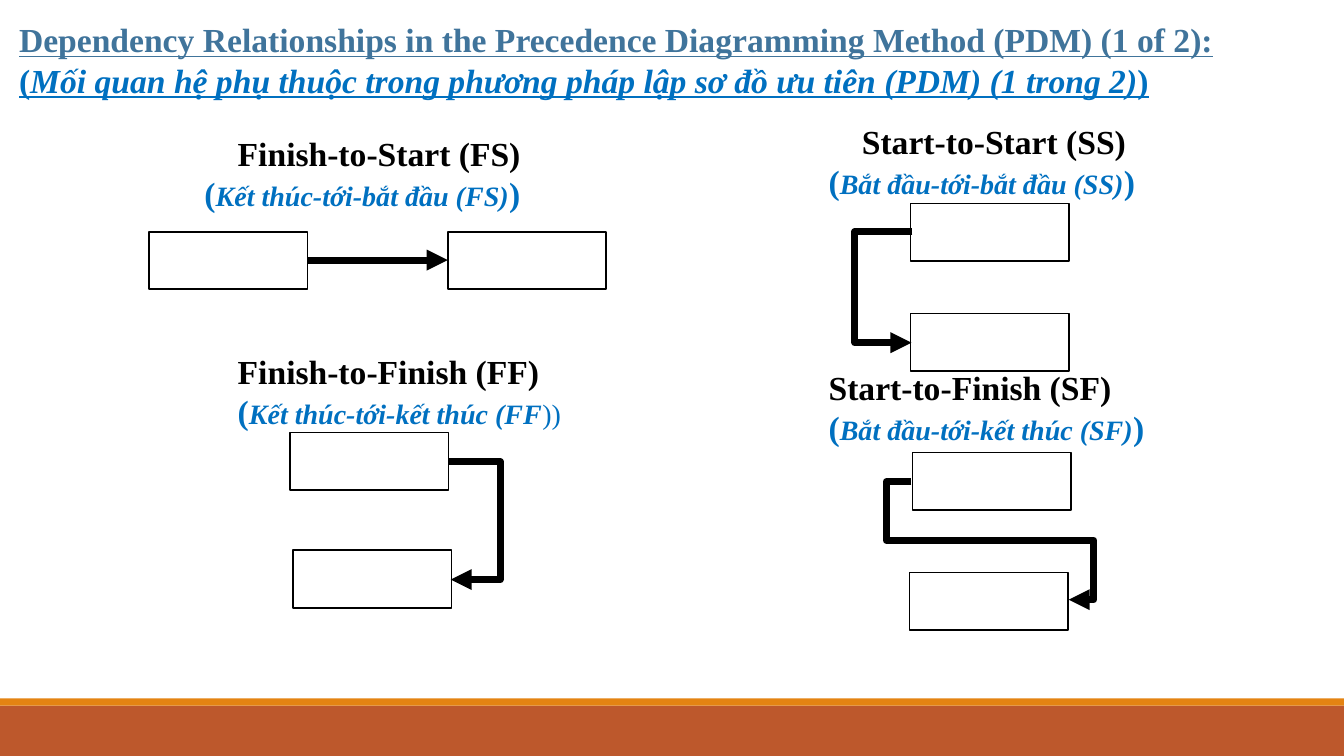
from pptx import Presentation
from pptx.dml.color import RGBColor
from pptx.enum.shapes import MSO_CONNECTOR as CONN, MSO_SHAPE as SHAPE
from pptx.enum.text import MSO_AUTO_SIZE as AUTO
from pptx.oxml.ns import qn
from pptx.util import Inches, Pt
from lxml.etree import SubElement

COLORS = {"ink": "000000", "title": "40749B", "blue": "0070C0",
          "footer": "BD582C", "stripe": "E48312"}
BOX_W, BOX_H = 1.57, 0.57


class Deck:
    """Holds the style and the current slide."""

    font = "Times New Roman"

    def __init__(self, prs):
        """Add a blank slide to draw on."""
        self.s = prs.slides.add_slide(prs.slide_layouts[6])

    def color(self, name):
        """Return a named colour."""
        return RGBColor.from_string(COLORS[name])

    def rect(self, x, y, w, h, fill=None, line=None):
        """Draw a rectangle with an optional fill and outline."""
        sp = self.s.shapes.add_shape(SHAPE.RECTANGLE, *map(Inches, (x, y, w, h)))
        sp.shadow.inherit = False
        if fill:
            sp.fill.solid()
            sp.fill.fore_color.rgb = self.color(fill)
        else:
            sp.fill.background()
        if line:
            sp.line.color.rgb = self.color(line)
            sp.line.width = Pt(1.25)
        else:
            sp.line.fill.background()

    def text(self, x, y, w, h, paras, wrap=False, indent=0):
        """Write paragraphs of (text, format) runs, indenting the first."""
        tf = self.s.shapes.add_textbox(*map(Inches, (x, y, w, h))).text_frame
        tf.word_wrap = wrap
        tf.auto_size = AUTO.SHAPE_TO_FIT_TEXT
        for i, runs in enumerate(paras):
            p = tf.add_paragraph() if i else tf.paragraphs[0]
            if indent and not i:
                p._p.get_or_add_pPr().set("marL", str(Inches(indent)))
            for words, fmt in runs:
                r = p.add_run()
                r.text = words
                style = {"name": self.font, "size": Pt(24), "bold": True, **fmt}
                r.font.color.rgb = self.color(style.pop("color", "blue"))
                for key, value in style.items():
                    setattr(r.font, key, value)

    def arrow(self, start, end, bends=()):
        """Draw an arrow; bends are the x, y, x... where it turns."""
        kind = CONN.ELBOW if bends else CONN.STRAIGHT
        c = self.s.shapes.add_connector(kind, *map(Inches, (*start, *end)))
        c.line.color.rgb = self.color("ink")
        c.line.width = Pt(5)
        SubElement(c.line._get_or_add_ln(), qn("a:tailEnd"), type="triangle")
        SubElement(c._element.spPr, qn("a:effectLst"))
        if bends:
            geom = c._element.spPr.find(qn("a:prstGeom"))
            geom.set("prst", f"bentConnector{len(bends) + 2}")
            guides = geom.get_or_add_avLst()
            for i, bend in enumerate(bends):
                a, b = start[i % 2], end[i % 2]
                ratio = round((bend - a) / (b - a) * 100000)
                SubElement(guides, qn("a:gd"), name=f"adj{i + 1}",
                           fmla=f"val {ratio}")


def label(english, vietnamese, close=(")", {})):
    """Return the two paragraphs that name a relationship."""
    return [[(english, {"color": "ink"})],
            [("(", {}), (vietnamese, {"size": Pt(20), "italic": True}), close]]


def main():
    """Build the slide and save it."""
    prs = Presentation()
    prs.slide_width, prs.slide_height = Inches(13.33), Inches(7.5)
    deck = Deck(prs)
    deck.rect(0, 7, 13.33, 0.5, fill="footer")
    deck.rect(0, 6.93, 13.33, 0.07, fill="stripe")

    activities = [(1.48, 2.3), (4.44, 2.3), (2.88, 4.29), (2.91, 5.46),
                  (9.03, 2.02), (9.03, 3.11), (9.05, 4.49), (9.02, 5.68)]
    for x, y in activities:
        deck.rect(x, y, BOX_W, BOX_H, line="ink")

    relationships = [
        (1.93, 1.27, 3.47, 0.33,
         label("Finish-to-Start (FS)", "Kết thúc-tới-bắt đầu (FS)")),
        (8.12, 1.15, 3.36, 0.33,
         label("Start-to-Start (SS)", "Bắt đầu-tới-bắt đầu (SS)")),
        (2.26, 3.43, 3.43, 0,
         label("Finish-to-Finish (FF)", "Kết thúc-tới-kết thúc (FF",
               ("))", {"size": Pt(20), "bold": False}))),
        (8.12, 3.59, 3.44, 0,
         label("Start-to-Finish (SF)", "Bắt đầu-tới-kết thúc (SF)")),
    ]
    for x, y, w, indent, paras in relationships:
        deck.text(x, y, w, 0.91, paras, indent=indent)

    deck.arrow((3.05, 2.58), (4.44, 2.58))
    deck.arrow((9.05, 2.3), (9.04, 3.4), [8.47])
    deck.arrow((4.45, 4.58), (4.47, 5.75), [4.96])
    deck.arrow((9.04, 4.78), (10.6, 5.95), [8.79, 5.36, 10.85])

    line = {"underline": True}
    deck.text(0.09, 0.14, 12.08, 1.31, [
        [("Dependency Relationships in the Precedence Diagramming Method "
          "(PDM) (1 of 2):", {"color": "title", **line})],
        [("(", line),
         ("Mối quan hệ phụ thuộc trong phương pháp lập sơ đồ ưu tiên (PDM) "
          "(1 trong 2)", {"italic": True, **line}),
         (")", line)],
    ], wrap=True)
    prs.save("out.pptx")


main()
